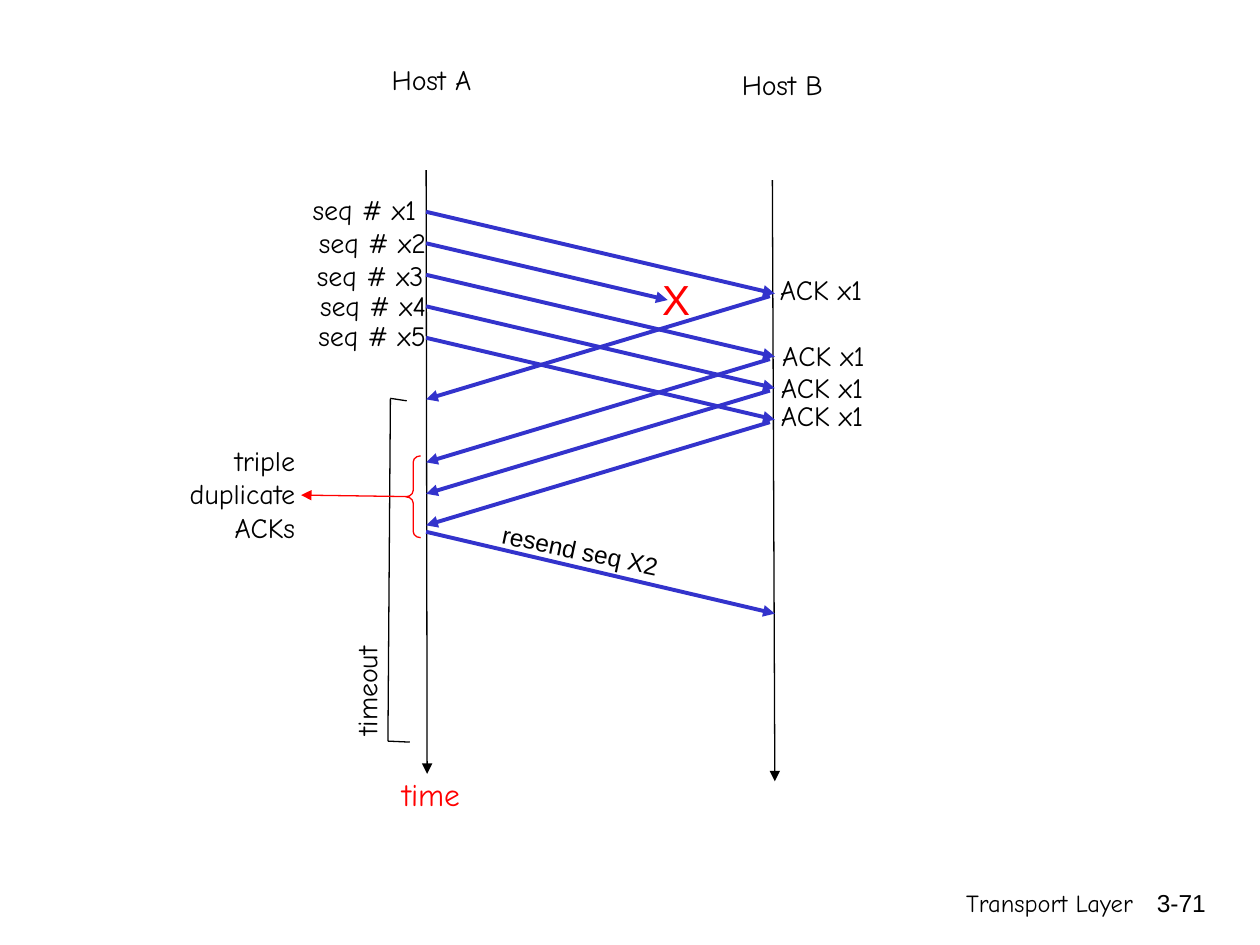
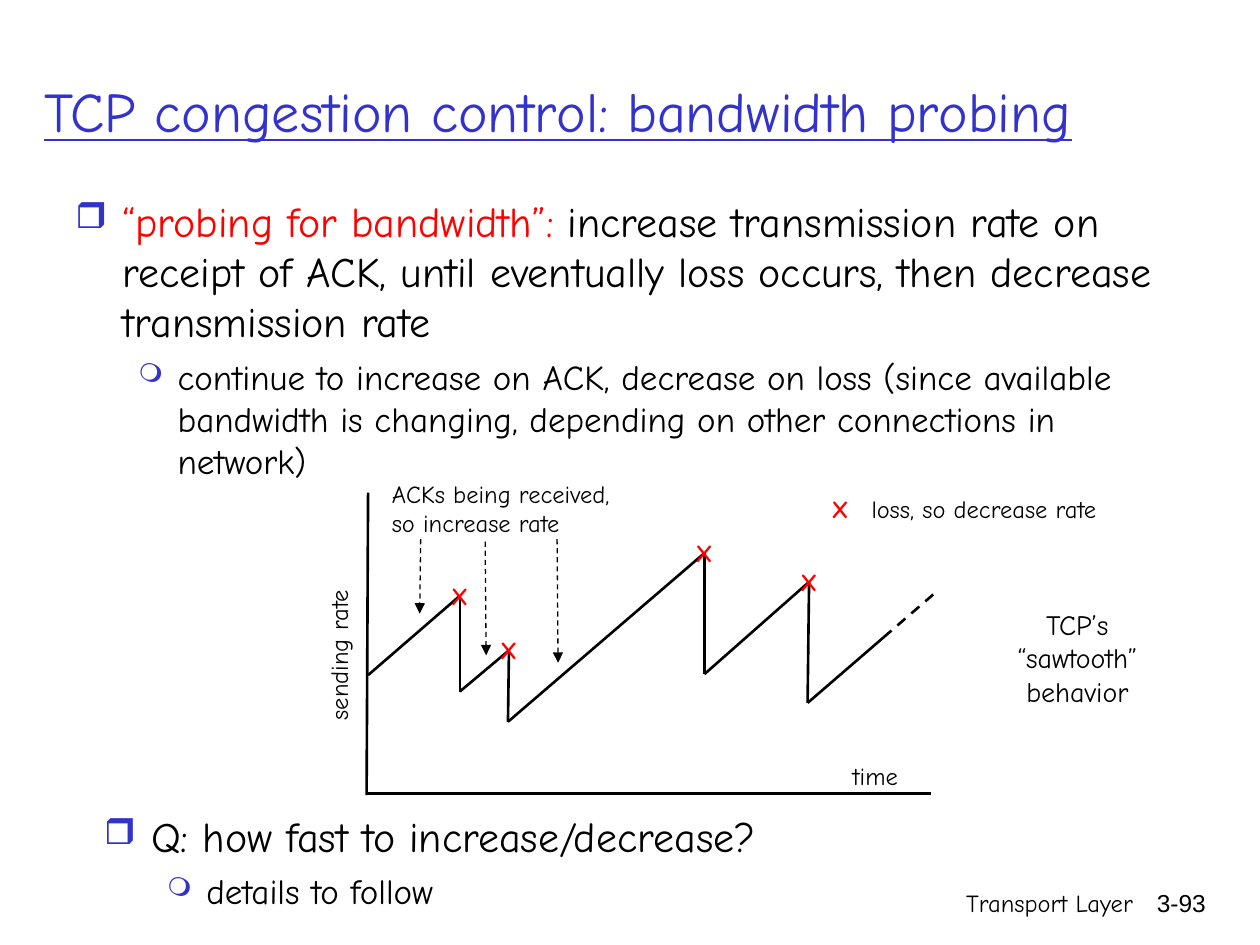
"""Build two transport layer slides: fast retransmit and bandwidth probing."""
from itertools import pairwise

from lxml import etree
from pptx import Presentation
from pptx.dml.color import RGBColor
from pptx.enum.dml import MSO_LINE
from pptx.enum.shapes import MSO_CONNECTOR, MSO_SHAPE
from pptx.enum.text import MSO_ANCHOR, PP_ALIGN
from pptx.oxml.ns import qn
from pptx.util import Cm, Pt

BLUE = RGBColor(0x33, 0x33, 0xCC)
RED = RGBColor(0xFF, 0x00, 0x00)
BLACK = RGBColor(0x00, 0x00, 0x00)
HAND, SANS = "Comic Neue", "Arial"
LEFT, MID, RIGHT = PP_ALIGN.LEFT, PP_ALIGN.CENTER, PP_ALIGN.RIGHT
MIDDLE = MSO_ANCHOR.MIDDLE
DASH = MSO_LINE.DASH
STRAIGHT = MSO_CONNECTOR.STRAIGHT
BRACE = MSO_SHAPE.LEFT_BRACE

LEVELS = [
    {"sign": "❒", "scale": 85, "size": 24, "margin": 0.95, "hang": 0.95, "gap": 6},
    {"sign": "❍", "scale": 75, "size": 20, "margin": 2.06, "hang": 0.79, "gap": 5},
]

HOST_A, HOST_B = 8.59, 15.62
DROP, BACK = 1.65, 2.08
FIRST, STEP = 4.27, 0.635
LOST, LOST_END = 1, 13.46
RESEND = 10.72
HOSTS = [("Host A", 8.7, 1.14), ("Host B", 15.77, 1.24)]
AXES = [((8.59, 3.43), (8.61, 15.6)), ((15.57, 3.63), (15.62, 15.75))]
SEQS = [
    ("seq # x1", 8.64, 3.76),
    ("seq # x2", 8.84, 4.42),
    ("seq # x3", 8.79, 5.08),
    ("seq # x4", 8.84, 5.69),
    ("seq # x5", 8.84, 6.3),
]
ACKS = [(15.47, 5.36), (15.52, 6.71), (15.49, 7.34), (15.49, 7.9)]
TIMEOUT = [(8.2, 8.08), (7.87, 8.03), (7.82, 14.94), (8.26, 14.96)]

TITLE = "TCP congestion control: bandwidth probing"
PROBING = [
    (0, [("“probing for bandwidth”: ", RED),
         ("increase transmission rate on receipt of ACK, until eventually "
          "loss occurs, then decrease transmission rate", BLACK)]),
    (1, [("continue to increase on ACK, decrease on loss (since available "
          "bandwidth is changing, depending on other connections in network)",
          BLACK)]),
]
QUERY = [
    (0, [("Q: how fast to increase/decrease?", BLACK)]),
    (1, [("details to follow", BLACK)]),
]
FRAME = [((7.42, 9.93), (7.39, 16.03)), ((7.37, 16), (18.77, 16))]
SAW = [
    (7.42, 13.61), (9.27, 12.01), (9.27, 13.94), (10.26, 13.11),
    (10.24, 14.55), (14.2, 11.15), (14.2, 13.59), (16.31, 11.73),
    (16.28, 14.17), (17.81, 12.85),
]
NEXT = (18.9, 11.91)
KEY = (16.94, 10.26)
HINTS = [
    ((8.48, 10.87), (8.46, 12.37)),
    ((9.78, 10.92), (9.8, 13.21)),
    ((11.23, 10.87), (11.25, 13.36)),
]


def style(font, size, color, face=HAND):
    font.name, font.size = face, Pt(size)
    font.color.rgb = color


def box(slide, left, top, wide, high):
    shape = slide.shapes.add_textbox(Cm(left), Cm(top), Cm(wide), Cm(high))
    shape.text_frame.word_wrap = True
    return shape


def label(slide, words, left, top, wide, high=0.94, size=16, color=BLACK,
          align=LEFT, face=HAND, bold=False, turn=0):
    shape = box(slide, left, top, wide, high)
    shape.rotation = turn
    shape.text_frame.text = words
    for para in shape.text_frame.paragraphs:
        para.alignment = align
        for run in para.runs:
            style(run.font, size, color, face)
            run.font.bold = bold
    return shape


def center(slide, words, x, top, wide=4, **look):
    return label(slide, words, x - wide / 2, top, wide, align=MID, **look)


def line(slide, start, end, color=BLACK, width=0.75, arrow=False, dash=None):
    ends = [Cm(value) for value in (*start, *end)]
    link = slide.shapes.add_connector(STRAIGHT, *ends)
    link.line.color.rgb = color
    link.line.width = Pt(width)
    if dash:
        link.line.dash_style = dash
    props = link.element.spPr
    if arrow:
        etree.SubElement(props.find(qn("a:ln")), qn("a:tailEnd"), type="triangle")
    etree.SubElement(props, qn("a:effectLst"))


def bullet(para, level):
    props = para._p.get_or_add_pPr()
    props.set("marL", str(Cm(level["margin"])))
    props.set("indent", str(-Cm(level["hang"])))
    tint = etree.SubElement(props, qn("a:buClr"))
    etree.SubElement(tint, qn("a:srgbClr"), val=str(BLUE))
    etree.SubElement(props, qn("a:buSzPct"), val=str(level["scale"] * 1000))
    etree.SubElement(props, qn("a:buChar"), char=level["sign"])


def points(slide, items, left, top, high):
    frame = box(slide, left, top, 22.86, high).text_frame
    for index, (depth, parts) in enumerate(items):
        para = frame.add_paragraph() if index else frame.paragraphs[0]
        level = LEVELS[depth]
        para.level = depth
        bullet(para, level)
        if index:
            para.space_before = Pt(level["gap"])
        for words, color in parts:
            run = para.add_run()
            run.text = words
            style(run.font, level["size"], color)


def start(deck, number):
    slide = deck.slides.add_slide(deck.slide_layouts[6])
    foot = {"top": 17.78, "high": 1.27, "size": 14, "align": RIGHT}
    label(slide, "Transport Layer", left=15.04, wide=8.05, **foot)
    label(slide, number, left=22.68, wide=1.88, face=SANS, **foot)
    return slide


def send(slide, top, end=HOST_B):
    fall = DROP * (end - HOST_A) / (HOST_B - HOST_A)
    line(slide, (HOST_A, top), (end, top + fall), BLUE, 2.25, True)


def retransmit(deck):
    slide = start(deck, "3-71")
    for name, x, top in HOSTS:
        center(slide, name, x, top)
    for tip in AXES:
        line(slide, *tip, arrow=True)
    for index, (name, right, top) in enumerate(SEQS):
        label(slide, name, right - 3.3, top, 3.3, align=RIGHT)
        sent = FIRST + index * STEP
        if index == LOST:
            send(slide, sent, LOST_END)
            continue
        send(slide, sent)
        reply = sent + DROP + 0.05
        line(slide, (HOST_B - 0.1, reply), (HOST_A, reply + BACK), BLUE, 2.25, True)
    for left, top in ACKS:
        label(slide, "ACK x1", left, top, 3.3)
    center(slide, "X", 13.63, 5.38, wide=1.6, high=1.27, size=24, color=RED, face=SANS)
    send(slide, RESEND)
    label(slide, "resend seq X2", 9.83, 10.87, 5.64, 0.86, size=14, face=SANS, turn=11.9)
    for tip in pairwise(TIMEOUT):
        line(slide, *tip)
    center(slide, "timeout", 7.39, 13.46, turn=270)
    center(slide, "time", 8.69, 15.49, size=18, color=RED)

    brace = slide.shapes.add_shape(BRACE, Cm(8.18), Cm(9.19), Cm(0.3), Cm(1.65))
    brace.adjustments[0] = 0.42
    brace.shadow.inherit = False
    brace.fill.background()
    brace.line.color.rgb = RED
    brace.line.width = Pt(0.75)
    label(slide, "triple\nduplicate\nACKs", 2.9, 8.81, 3.3, 2.29, align=RIGHT)
    line(slide, (8.18, 10.01), (6.07, 9.98), RED, arrow=True)


def probing(deck):
    slide = start(deck, "3-93")
    title = label(slide, TITLE, 0.64, 0.64, 23.5, 3.18, size=32, color=BLUE)
    title.text_frame.vertical_anchor = MIDDLE
    title.text_frame.paragraphs[0].runs[0].font.underline = True
    points(slide, PROBING, 1.27, 3.81, 4.01)

    for tip in [*FRAME, *pairwise(SAW)]:
        line(slide, *tip, width=1.5)
    line(slide, SAW[-1], NEXT, width=1.5, dash=DASH)
    for tip in HINTS:
        line(slide, *tip, arrow=True, dash=DASH)
    peaks = SAW[1:-1:2]
    for x, y in [*peaks, KEY]:
        center(slide, "X", x, y - 0.43, wide=1.2, high=0.86, size=14, color=RED, bold=True)

    label(slide, "ACKs being received,\nso increase rate", 7.65, 9.53, 6, 1.45, size=14)
    label(slide, "loss, so decrease rate", 17.32, 9.83, 6, 0.86, size=14)
    center(slide, "sending rate", 6.83, 12.78, high=0.86, size=14, turn=270)
    label(slide, "time", 16.94, 15.21, 2, 0.86, size=14)
    center(slide, "TCP’s\n“sawtooth”\nbehavior", 21.72, 12.12, high=2.29)
    points(slide, QUERY, 1.85, 16.21, 2.39)


def main():
    deck = Presentation()
    deck.slide_width, deck.slide_height = Cm(25.4), Cm(19.05)
    retransmit(deck)
    probing(deck)
    deck.save("out.pptx")


if __name__ == "__main__":
    main()
